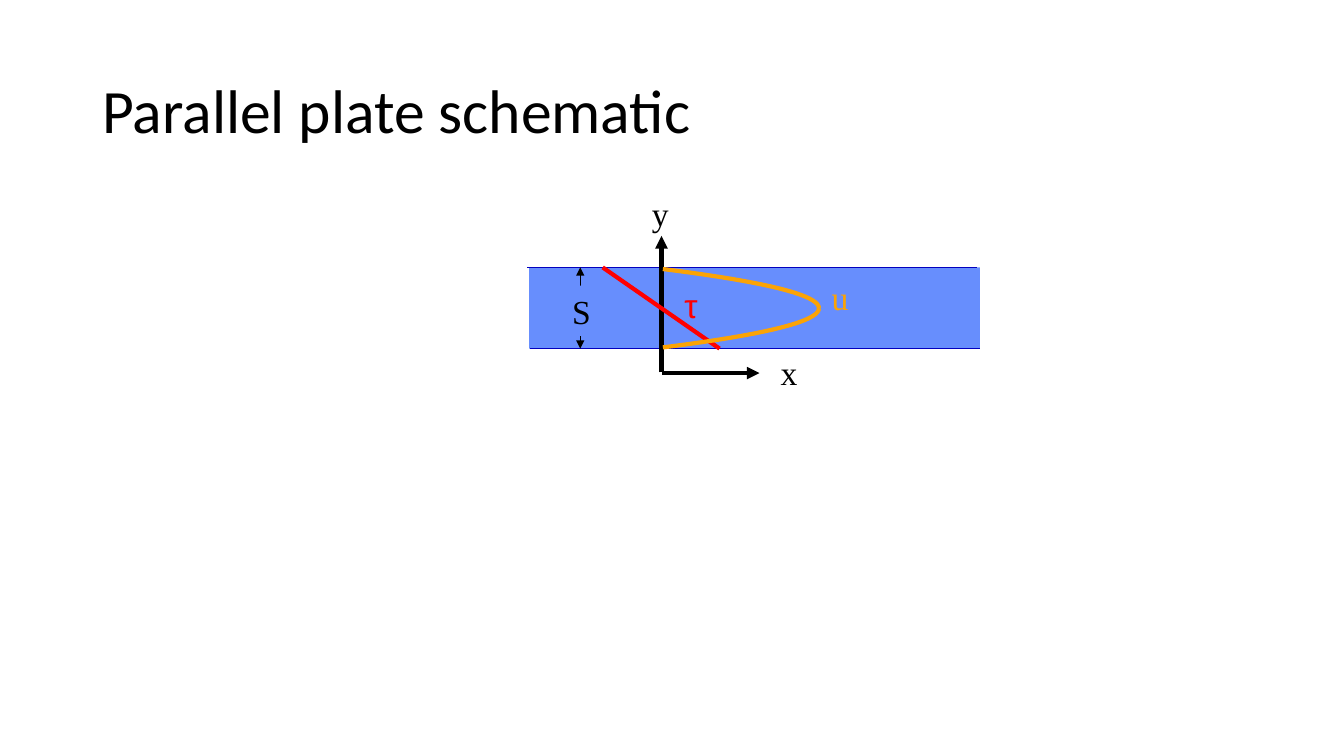
"""Build the parallel plate schematic slide."""
from lxml.etree import SubElement
from pptx import Presentation
from pptx.dml.color import RGBColor
from pptx.enum.shapes import MSO_CONNECTOR, MSO_SHAPE
from pptx.enum.text import MSO_ANCHOR, PP_ALIGN
from pptx.oxml.ns import qn
from pptx.util import Pt

BLACK, FLUID, PLATE = "000000", "678EFD", "0300BE"
STRESS, VELOCITY = "FF0000", "FBA305"


def color(value):
    return RGBColor.from_string(value)


class Schematic:
    serif = "Times New Roman"
    label_size = 24

    def __init__(self, slide):
        self.shapes = slide.shapes

    def text(self, text, x, y, w, h, size, font, ink, align, wrap=False):
        sp = self.shapes.add_textbox(Pt(x), Pt(y), Pt(w), Pt(h))
        tf = sp.text_frame
        tf.text = text
        tf.word_wrap = wrap
        tf.vertical_anchor = MSO_ANCHOR.MIDDLE
        p = tf.paragraphs[0]
        p.alignment = align
        r = p.runs[0]
        r.font.size, r.font.name = Pt(size), font
        r.font.color.rgb = color(ink)
        return sp

    def title(self, text, x, y, w, h):
        sp = self.text(text, x, y, w, h, 44, "Calibri", BLACK, PP_ALIGN.LEFT, True)
        sp.text_frame.paragraphs[0].line_spacing = 0.9

    def label(self, text, x, y, ink=BLACK, font=serif, fill=None):
        sp = self.text(text, x, y, 26, 36, self.label_size, font, ink, PP_ALIGN.CENTER)
        if fill:
            sp.fill.solid()
            sp.fill.fore_color.rgb = color(fill)

    def rect(self, x, y, w, h, fill):
        sp = self.shapes.add_shape(MSO_SHAPE.RECTANGLE, Pt(x), Pt(y), Pt(w), Pt(h))
        sp.shadow.inherit = False
        sp.fill.solid()
        sp.fill.fore_color.rgb = color(fill)
        sp.line.fill.background()

    def line(self, x1, y1, x2, y2, ink, width, heads=()):
        cxn = self.shapes.add_connector(
            MSO_CONNECTOR.STRAIGHT, Pt(x1), Pt(y1), Pt(x2), Pt(y2))
        cxn.line.color.rgb = color(ink)
        cxn.line.width = Pt(width)
        for head in heads:
            SubElement(cxn.line._get_or_add_ln(), qn(f"a:{head}"), type="triangle")
        SubElement(cxn._element.spPr, qn("a:effectLst"))

    def curve(self, points, ink, width):
        start, *rest = [(Pt(x), Pt(y)) for x, y in points]
        builder = self.shapes.build_freeform(*start)
        builder.add_line_segments(rest, close=False)
        sp = builder.convert_to_shape()
        sp.shadow.inherit = False
        sp.fill.background()
        sp.line.color.rgb = color(ink)
        sp.line.width = Pt(width)


def main():
    prs = Presentation()
    prs.slide_width, prs.slide_height = Pt(960), Pt(540)
    s = Schematic(prs.slides.add_slide(prs.slide_layouts[6]))
    s.title("Parallel plate schematic", 66, 28.8, 828, 104.4)

    top, bottom = 191, 249
    s.rect(378, top, 322, bottom - top, FLUID)
    s.line(378.5, bottom, 700, bottom, PLATE, 1)
    s.line(376.5, top, 698, top, PLATE, 1)

    s.line(414.5, top, 414.5, bottom, BLACK, 1, ("headEnd", "tailEnd"))
    s.label("S", 401.5, 204, fill=FLUID)

    s.line(472.5, 266, 472.5, 168.5, BLACK, 3, ("tailEnd",))
    s.line(473, 266.5, 542.5, 266.5, BLACK, 3, ("tailEnd",))

    s.label("τ", 480.5, 200, STRESS, "Arial")
    s.line(514, bottom, 430.5, top, STRESS, 3)

    tip_x, middle, reach, half_gap, steps = 585, 220.2, 111.5, 28, 20
    for side in (1, -1):
        s.curve([(tip_x - reach * (i / steps) ** 2, middle + side * half_gap * i / steps)
                 for i in range(steps + 1)], VELOCITY, 3)
    s.label("u", 587, 194.5, VELOCITY)

    s.label("x", 550.5, 248)
    s.label("y", 458.5, 134.5)
    prs.save("out.pptx")


if __name__ == "__main__":
    main()
